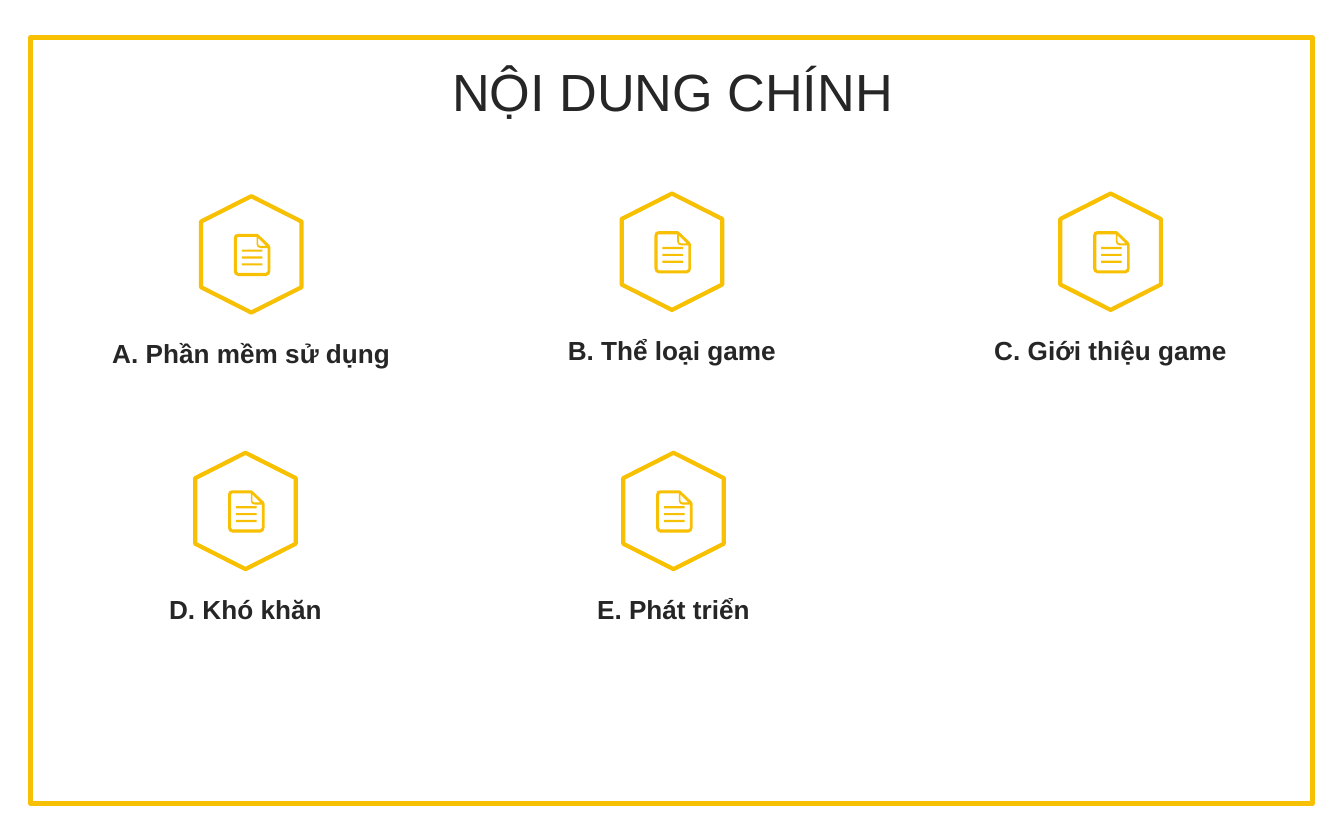
from dataclasses import dataclass

from pptx import Presentation
from pptx.dml.color import RGBColor
from pptx.enum.shapes import MSO_SHAPE
from pptx.enum.text import MSO_ANCHOR, MSO_AUTO_SIZE, PP_ALIGN
from pptx.util import Cm, Pt


@dataclass(frozen=True)
class Theme:
    accent: RGBColor = RGBColor(0xF8, 0xC0, 0x02)
    ink: RGBColor = RGBColor(0x26, 0x26, 0x26)
    font: str = "Arial"
    title_size: Pt = Pt(28)
    label_size: Pt = Pt(14)
    frame_line: Pt = Pt(2.5)
    badge_line: Pt = Pt(2.25)


@dataclass(frozen=True)
class Box:
    """Left, top, width and height in centimetres."""
    left: float
    top: float
    width: float
    height: float

    def lengths(self):
        return Cm(self.left), Cm(self.top), Cm(self.width), Cm(self.height)


THEME = Theme()
UNIT = Cm(0.01)  # outlines below are drawn in hundredths of a centimetre

BADGE_WIDTH, BADGE_HEIGHT = 1.9, 2.2
HEXAGON = [[(95, 0), (190, 48), (190, 172), (95, 220), (0, 172), (0, 48)]]

PAGE_EDGE = [(0, 8), (2, 2), (8, 0), (44, 0), (47, 2), (67, 21), (69, 25),
             (69, 71), (67, 77), (61, 80), (8, 80), (2, 77), (0, 71)]
PAGE_INSIDE = [(6, 8), (8, 6), (43, 6), (43, 20), (45, 25), (50, 27),
               (64, 27), (64, 71), (61, 74), (8, 74), (6, 71)]
PAGE_FOLD = [(46, 8), (61, 23), (50, 23), (47, 22), (46, 19)]
PAGE_LINES = [[(15, y), (54, y), (54, y + 4), (15, y + 4)]
              for y in range(30, 57, 13)]
DOCUMENT = [PAGE_EDGE, PAGE_INSIDE, PAGE_FOLD, *PAGE_LINES]

# label, left, top and width of each topic
TOPICS = [
    ("E. Phát triển", 9.58, 8.56, 6.3),
    ("B. Thể loại game", 9.55, 3.66, 6.3),
    ("C. Giới thiệu game", 17.42, 3.66, 7.14),
    ("D. Khó khăn", 1.07, 8.56, 7.14),
    ("A. Phần mềm sử dụng", 1.6, 3.71, 6.3),
]


def write_centred(frame, text, size, bold=False, line_spacing=None):
    frame.word_wrap = True
    frame.auto_size = MSO_AUTO_SIZE.SHAPE_TO_FIT_TEXT
    paragraph = frame.paragraphs[0]
    paragraph.alignment = PP_ALIGN.CENTER
    paragraph.line_spacing = line_spacing
    run = paragraph.add_run()
    run.text = text
    run.font.name = THEME.font
    run.font.size = size
    run.font.bold = bold
    run.font.color.rgb = THEME.ink


def outline(shapes, contours, left, top):
    """Draw closed contours as one shape with its origin at left, top."""
    builder = None
    for start, *rest in contours:
        if builder is None:
            builder = shapes.build_freeform(*start, scale=float(UNIT))
        else:
            builder.move_to(*start)
        builder.add_line_segments(rest, close=True)
    shape = builder.convert_to_shape(Cm(left), Cm(top))
    shape.shadow.inherit = False
    return shape


def stroke_only(shape, width):
    shape.shadow.inherit = False
    shape.fill.background()
    shape.line.color.rgb = THEME.accent
    shape.line.width = width


def add_title(slide, text, box):
    title = slide.shapes.title
    title.left, title.top, title.width, title.height = box.lengths()
    title.text_frame.vertical_anchor = MSO_ANCHOR.BOTTOM
    write_centred(title.text_frame, text, THEME.title_size, line_spacing=1.2)


def add_frame(slide, box):
    frame = slide.shapes.add_shape(MSO_SHAPE.RECTANGLE, *box.lengths())
    stroke_only(frame, THEME.frame_line)


def add_badge(slide, left, top):
    """Hexagon with a document icon inside."""
    badge = slide.shapes.add_group_shape().shapes
    stroke_only(outline(badge, HEXAGON, left, top), THEME.badge_line)
    document = outline(badge, DOCUMENT, left + 0.62, top + 0.71)
    document.fill.solid()
    document.fill.fore_color.rgb = THEME.accent
    document.line.fill.background()


def add_topic(slide, label, box):
    """Label at the foot of the box, badge centred above it."""
    label_height = 0.86
    label_box = Box(box.left, box.top + box.height - label_height,
                    box.width, label_height)
    caption = slide.shapes.add_textbox(*label_box.lengths())
    write_centred(caption.text_frame, label, THEME.label_size, bold=True)
    add_badge(slide, box.left + (box.width - BADGE_WIDTH) / 2, box.top)


def main():
    presentation = Presentation()
    presentation.slide_width, presentation.slide_height = Cm(25.4), Cm(15.88)
    title_only = presentation.slide_layouts[5]
    slide = presentation.slides.add_slide(title_only)
    add_title(slide, "NỘI DUNG CHÍNH", Box(4.85, 0.74, 15.72, 1.7))
    add_frame(slide, Box(0.58, 0.71, 24.23, 14.48))
    for label, left, top, width in TOPICS:
        add_topic(slide, label, Box(left, top, width, 3.4))
    presentation.save("out.pptx")


if __name__ == "__main__":
    main()
